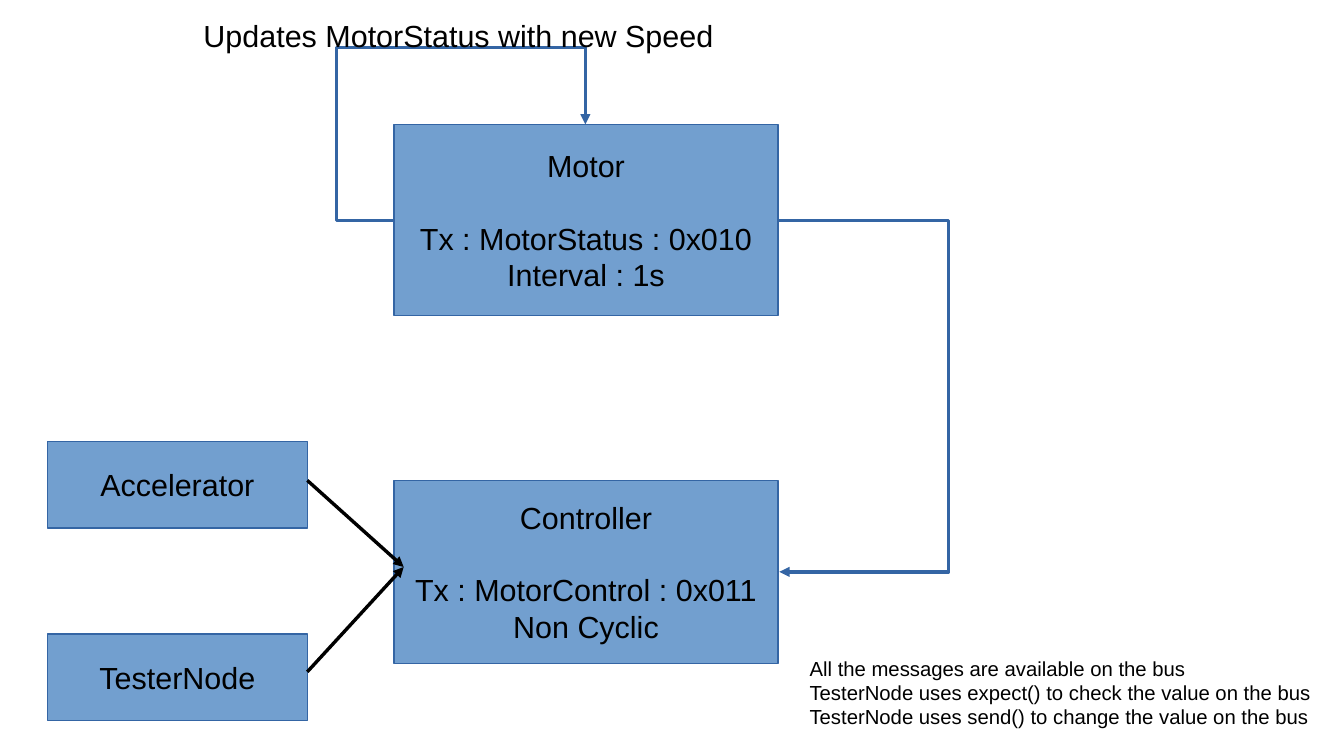
"""Build a slide showing how bus nodes exchange motor messages."""
from dataclasses import dataclass

from lxml import etree
from pptx import Presentation
from pptx.dml.color import RGBColor
from pptx.enum.shapes import MSO_CONNECTOR, MSO_SHAPE
from pptx.enum.text import MSO_ANCHOR, MSO_AUTO_SIZE, PP_ALIGN
from pptx.oxml.ns import qn
from pptx.slide import Slide
from pptx.text.text import TextFrame
from pptx.util import Inches, Pt

RECTANGLE = MSO_SHAPE.RECTANGLE
STRAIGHT, ELBOW = MSO_CONNECTOR.STRAIGHT, MSO_CONNECTOR.ELBOW
LEFT, CENTER = PP_ALIGN.LEFT, PP_ALIGN.CENTER
MIDDLE = MSO_ANCHOR.MIDDLE
FIT_TEXT = MSO_AUTO_SIZE.SHAPE_TO_FIT_TEXT

FONT = "Arial"
BLACK, NODE_FILL, NODE_LINE = "000000", "729FCF", "3465A4"
HEADING_GAP = 21


@dataclass(frozen=True)
class Node:
    left: float
    top: float
    width: float
    height: float
    lines: tuple[str, ...]


@dataclass(frozen=True)
class Note:
    left: float
    top: float
    width: float
    height: float
    size: int
    lines: tuple[str, ...]


@dataclass(frozen=True)
class Arrow:
    start: tuple[float, float]
    end: tuple[float, float]
    color: str = BLACK
    bends: tuple[float, ...] = ()


MOTOR = Node(3.23, 1.02, 3.15, 1.57,
             ("Motor", "Tx : MotorStatus : 0x010", "Interval : 1s"))
CONTROLLER = Node(3.23, 3.94, 3.15, 1.5,
                  ("Controller", "Tx : MotorControl : 0x011", "Non Cyclic"))
TESTER = Node(0.39, 5.2, 2.13, 0.71, ("TesterNode",))
ACCELERATOR = Node(0.39, 3.62, 2.13, 0.71, ("Accelerator",))
NODES = (MOTOR, CONTROLLER, TESTER, ACCELERATOR)

ARROWS = (
    Arrow((2.52, 5.51), (3.31, 4.65)),
    Arrow((2.52, 3.94), (3.31, 4.65)),
    Arrow((6.38, 1.81), (6.39, 4.69), NODE_LINE, (142,)),
    Arrow((3.23, 1.81), (4.8, 1.02), NODE_LINE, (-0.3, 1.8)),
)

NOTES = (
    Note(1.57, 0.09, 4.38, 0.38, 18, ("Updates MotorStatus with new Speed",)),
    Note(6.54, 5.33, 4.33, 0.66, 12, (
        "All the messages are available on the bus",
        "TesterNode uses expect() to check the value on the bus",
        "TesterNode uses send() to change the value on the bus",
    )),
)


def rgb(color: str) -> RGBColor:
    return RGBColor.from_string(color)


def write_lines(frame: TextFrame, lines: tuple[str, ...], size: int,
                align: PP_ALIGN) -> None:
    frame.word_wrap = False
    for index, line in enumerate(lines):
        paragraph = frame.add_paragraph() if index else frame.paragraphs[0]
        paragraph.alignment = align
        run = paragraph.add_run()
        run.text = line
        run.font.name = FONT
        run.font.size = Pt(size)
        run.font.color.rgb = rgb(BLACK)


def draw_node(slide: Slide, node: Node) -> None:
    box = slide.shapes.add_shape(RECTANGLE, Inches(node.left), Inches(node.top),
                                 Inches(node.width), Inches(node.height))
    box.shadow.inherit = False
    box.fill.solid()
    box.fill.fore_color.rgb = rgb(NODE_FILL)
    box.line.color.rgb = rgb(NODE_LINE)
    box.line.width = Pt(0)
    frame = box.text_frame
    frame.vertical_anchor = MIDDLE
    write_lines(frame, node.lines, 18, CENTER)
    if len(node.lines) > 1:
        frame.paragraphs[1].space_before = Pt(HEADING_GAP)


def draw_note(slide: Slide, note: Note) -> None:
    box = slide.shapes.add_textbox(Inches(note.left), Inches(note.top),
                                   Inches(note.width), Inches(note.height))
    write_lines(box.text_frame, note.lines, note.size, LEFT)
    box.text_frame.auto_size = FIT_TEXT


def draw_arrow(slide: Slide, arrow: Arrow) -> None:
    route = slide.shapes.add_connector(
        ELBOW if arrow.bends else STRAIGHT,
        *(Inches(value) for value in arrow.start + arrow.end))
    route.line.color.rgb = rgb(arrow.color)
    route.line.width = Pt(0)
    properties = route._element.spPr
    etree.SubElement(properties.find(qn("a:ln")), qn("a:tailEnd"), type="triangle")
    etree.SubElement(properties, qn("a:effectLst"))
    if arrow.bends:
        geometry = properties.find(qn("a:prstGeom"))
        geometry.set("prst", f"bentConnector{len(arrow.bends) + 2}")
        guides = geometry.find(qn("a:avLst"))
        for number, bend in enumerate(arrow.bends, 1):
            etree.SubElement(guides, qn("a:gd"), name=f"adj{number}",
                             fmla=f"val {round(bend * 100000)}")


def main() -> None:
    deck = Presentation()
    deck.slide_width, deck.slide_height = Inches(11.02), Inches(6.2)
    slide = deck.slides.add_slide(deck.slide_layouts[6])
    for node in NODES:
        draw_node(slide, node)
    for arrow in ARROWS:
        draw_arrow(slide, arrow)
    for note in NOTES:
        draw_note(slide, note)
    deck.save("out.pptx")


if __name__ == "__main__":
    main()
